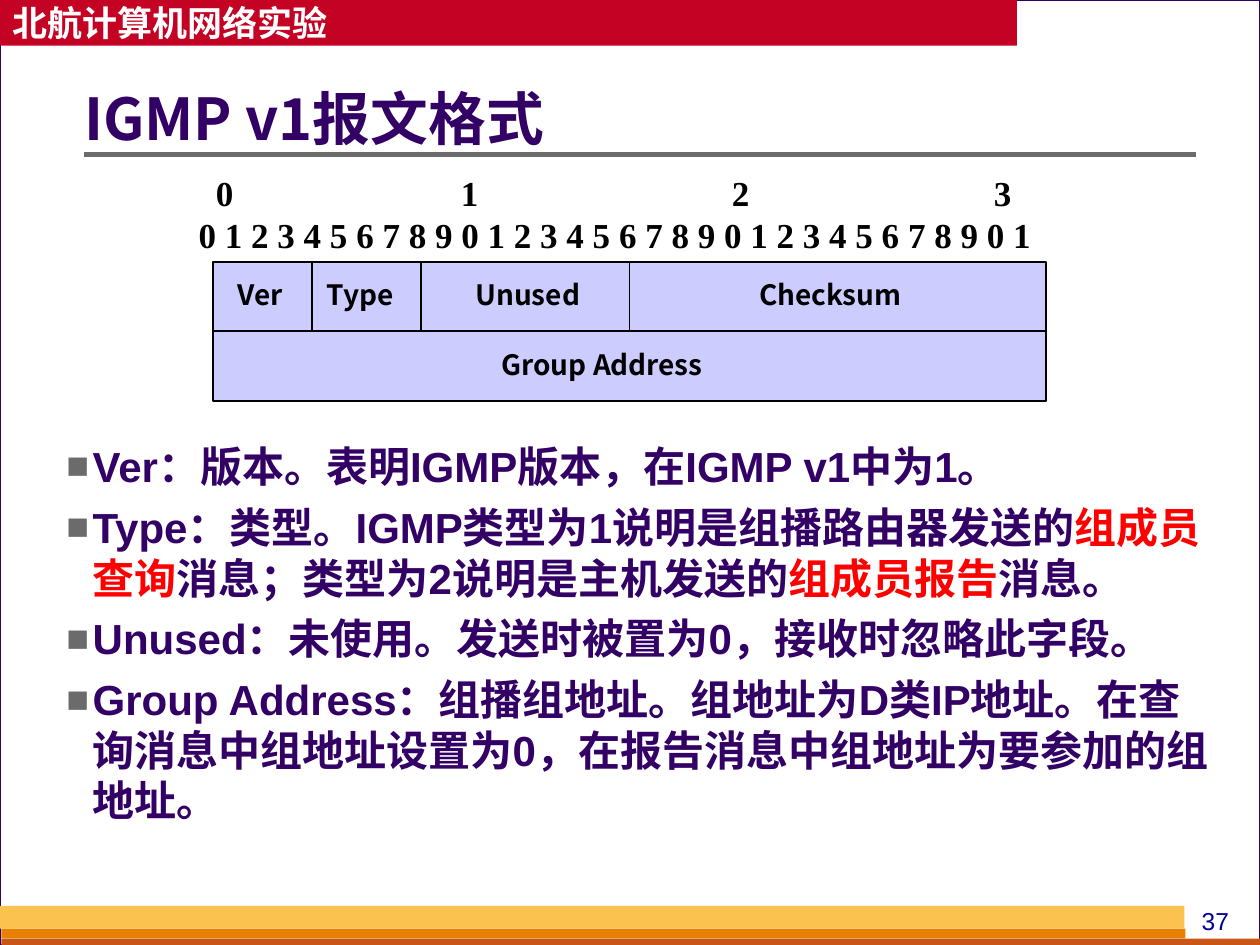
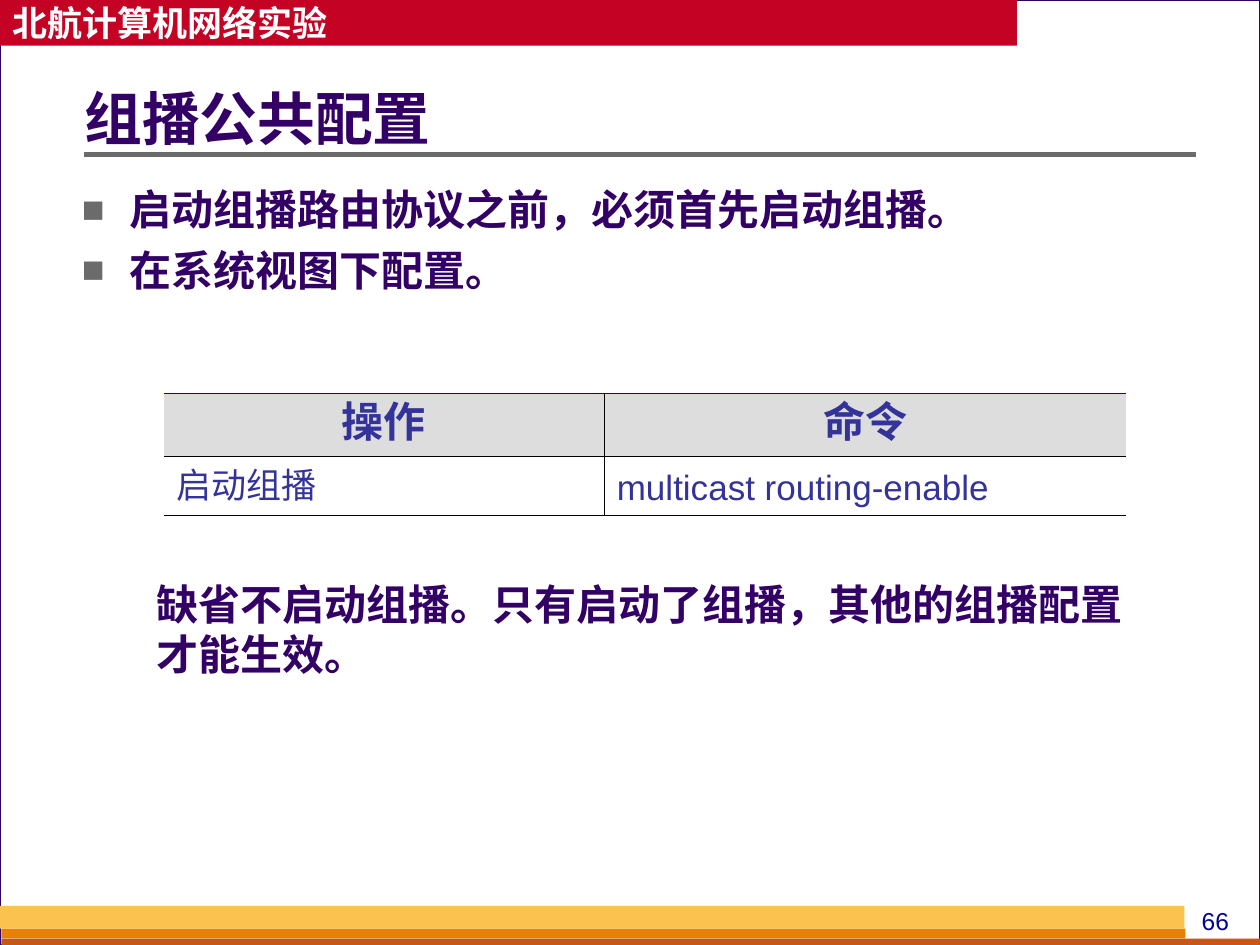
from pptx import Presentation
from pptx import util as u
from pptx.dml.color import RGBColor
from pptx.enum import shapes, text
from pptx.oxml import parse_xml
from pptx.oxml.ns import nsdecls, qn
from lxml import etree

C = {
    "back": "D8DADA", "white": "FFFFFF", "purple": "330066", "red": "C30224",
    "orange": "E88000", "rust": "C95616", "yellow": "FCC24F", "navy": "000099",
    "gray": "6B6B6B", "mark": "FF0000", "lilac": "CCCCFF", "black": "000000",
    "head": "DDDDDD", "blue": "333399",
}
CJK = "Noto Sans CJK SC"


def add_box(s, x, y, w, h, fill=None, line=None, width=1):
    pos = u.Cm(x), u.Cm(y), u.Cm(w), u.Cm(h)
    if fill is None:
        sp = s.shapes.add_textbox(*pos)
        sp.text_frame.word_wrap = True
        return sp
    sp = s.shapes.add_shape(shapes.MSO_SHAPE.RECTANGLE, *pos)
    sp.shadow.inherit = False
    sp.fill.solid()
    sp.fill.fore_color.rgb = RGBColor.from_string(C[fill])
    if line:
        sp.line.color.rgb = RGBColor.from_string(C[line])
        sp.line.width = u.Pt(width)
    else:
        sp.line.fill.background()
    return sp


def add_run(p, words, size, color, font=CJK, bold=True):
    r = p.add_run()
    r.text = words
    r.font.size = u.Pt(size)
    r.font.bold = bold
    r.font.name = font
    r.font.color.rgb = RGBColor.from_string(C[color])
    ea = etree.SubElement(r.font._element, qn("a:ea"))
    ea.set("typeface", CJK)


prs = Presentation()
prs.slide_width, prs.slide_height = u.Cm(25.4), u.Cm(19.05)

pages = [
    {
        "title": "IGMP v1报文格式", "number": "37",
        "body": (1.09, 8.76, 23.6, 9.02), "indent": 0.53,
        "items": [
            [("Ver：版本。表明IGMP版本，在IGMP v1中为1。", "purple")],
            [("Type：类型。IGMP类型为1说明是组播路由器发送的", "purple"),
             ("组成员查询", "mark"),
             ("消息；类型为2说明是主机发送的", "purple"),
             ("组成员报告", "mark"),
             ("消息。", "purple")],
            [("Unused：未使用。发送时被置为0，接收时忽略此字段。", "purple")],
            [("Group Address：组播组地址。组地址为D类IP地址。在查询消息中组地址设置为0，"
              "在报告消息中组地址为要参加的组地址。", "purple")],
        ],
    },
    {
        "title": "组播公共配置", "number": "66",
        "body": (1.4, 3.58, 22.86, 2.51), "indent": 0.97,
        "items": [
            [("启动组播路由协议之前，必须首先启动组播。", "purple")],
            [("在系统视图下配置。", "purple")],
        ],
    },
]

for page in pages:
    s = prs.slides.add_slide(prs.slide_layouts[6])
    s.background.fill.solid()
    s.background.fill.fore_color.rgb = RGBColor.from_string(C["back"])
    add_box(s, 0, 0, 25.4, 19.05, "white", "purple", 0.75)

    sp = add_box(s, 0, 0, 20.5, 0.92, "red")
    tf = sp.text_frame
    tf.word_wrap = False
    tf.vertical_anchor = text.MSO_ANCHOR.MIDDLE
    p = tf.paragraphs[0]
    p.alignment = text.PP_ALIGN.LEFT
    add_run(p, "北航计算机网络实验", 20, "white")

    for x, y, w, h, fill in [(0.03, 18.72, 23.87, 0.2, "orange"),
                             (0.03, 18.92, 25.37, 0.2, "rust"),
                             (0, 18.26, 23.88, 0.46, "yellow")]:
        add_box(s, x, y, w, h, fill)

    p = add_box(s, 23.7, 18.14, 1.6, 0.86).text_frame.paragraphs[0]
    p.alignment = text.PP_ALIGN.CENTER
    add_run(p, page["number"], 14, "navy", "Arial", False)

    cx = s.shapes.add_connector(shapes.MSO_CONNECTOR.STRAIGHT,
                                u.Cm(1.7), u.Cm(3.12), u.Cm(24.1), u.Cm(3.12))
    cx.line.color.rgb = RGBColor.from_string(C["gray"])
    cx.line.width = u.Pt(3)
    etree.SubElement(cx._element.spPr, qn("a:effectLst"))

    tf = add_box(s, 1.7, 1.17, 22.4, 2.57).text_frame
    tf.margin_left = 0
    tf.vertical_anchor = text.MSO_ANCHOR.MIDDLE
    p = tf.paragraphs[0]
    p.line_spacing = 0.9
    add_run(p, page["title"], 33, "purple")

    tf = add_box(s, *page["body"]).text_frame
    for i, item in enumerate(page["items"]):
        p = tf.add_paragraph() if i else tf.paragraphs[0]
        pPr = p._p.get_or_add_pPr()
        pPr.set("marL", str(u.Cm(page["indent"])))
        pPr.set("indent", str(-u.Cm(page["indent"])))
        for xml in ('<a:buClr %s><a:srgbClr val="' + C["gray"] + '"/></a:buClr>',
                    '<a:buSzPct %s val="90000"/>',
                    '<a:buFont %s typeface="Arial"/>',
                    '<a:buChar %s char="■"/>'):
            pPr.append(parse_xml(xml % nsdecls("a")))
        p.line_spacing = u.Pt(28.8)
        if i:
            p.space_before = u.Pt(6)
        for words, color in item:
            add_run(p, words, 24, color, "Arial")

s = prs.slides[0]
tf = add_box(s, 3.3, 3.33, 18.2, 1.95).text_frame
tf.vertical_anchor = text.MSO_ANCHOR.MIDDLE
p = tf.paragraphs[0]
p.line_spacing = u.Pt(24)
tabs = etree.SubElement(p._p.get_or_add_pPr(), qn("a:tabLst"))
for x in (0.98, 5.92, 11.38, 16.66):
    etree.SubElement(tabs, qn("a:tab"), pos=str(u.Cm(x)), algn="ctr")
add_run(p, "\t0\t1\t2\t3", 20, "black", "Times New Roman")
p = tf.add_paragraph()
p.alignment = text.PP_ALIGN.CENTER
p.line_spacing = u.Pt(24)
add_run(p, " ".join(str(bit % 10) for bit in range(32)), 20, "black", "Times New Roman")

left, top, row_h, label_w = 4.29, 5.28, 1.4, 5.4
rows = [
    [("Ver", 2, 5.24), ("Type", 2.2, 7.26), ("Unused", 4.2, 10.64), ("Checksum", 8.4, 16.74)],
    [("Group Address", 16.8, 12.14)],
]
labels = []
for i, row in enumerate(rows):
    x, y = left, top + i * row_h
    for name, w, middle in row:
        add_box(s, x, y, w, row_h, "lilac", "black")
        labels.append((name, middle, y + 0.2))
        x += w
for name, middle, y in labels:
    p = add_box(s, middle - label_w / 2, y, label_w, 0.94).text_frame.paragraphs[0]
    p.alignment = text.PP_ALIGN.CENTER
    add_run(p, name, 16, "black")

s = prs.slides[1]
tf = add_box(s, 2.9, 11.53, 20.02, 2.29).text_frame
tf.vertical_anchor = text.MSO_ANCHOR.MIDDLE
p = tf.paragraphs[0]
p.line_spacing = u.Pt(28.8)
add_run(p, "缺省不启动组播。只有启动了组播，其他的组播配置才能生效。", 24, "purple")

cells = [["操作", "命令"], ["启动组播", "multicast routing-enable"]]
tbl = s.shapes.add_table(2, 2, u.Cm(3.3), u.Cm(7.92), u.Cm(19.4), u.Cm(2.46)).table
tbl.first_row = tbl.horz_banding = False
for i, w in enumerate((8.88, 10.52)):
    tbl.columns[i].width = u.Cm(w)
for i, h in enumerate((1.27, 1.19)):
    tbl.rows[i].height = u.Cm(h)
for i, row in enumerate(cells):
    for j, words in enumerate(row):
        cell = tbl.cell(i, j)
        cell.vertical_anchor = text.MSO_ANCHOR.MIDDLE
        tcPr = cell._tc.get_or_add_tcPr()
        for side, shown in (("L", j == 1), ("R", j == 0), ("T", True), ("B", True)):
            ln = etree.SubElement(tcPr, qn("a:ln" + side), w=str(u.Pt(0.45)))
            if shown:
                color = "purple" if side == "T" and i == 0 else "black"
                fill = etree.SubElement(ln, qn("a:solidFill"))
                etree.SubElement(fill, qn("a:srgbClr"), val=C[color])
            else:
                etree.SubElement(ln, qn("a:noFill"))
        p = cell.text_frame.paragraphs[0]
        if i == 0:
            cell.fill.solid()
            cell.fill.fore_color.rgb = RGBColor.from_string(C["head"])
            p.alignment = text.PP_ALIGN.CENTER
            p.line_spacing = u.Pt(28.8)
            add_run(p, words, 24, "blue", "Arial")
        else:
            cell.fill.background()
            p.line_spacing = u.Pt(26)
            add_run(p, words, 20, "blue", "Arial", False)

prs.save("out.pptx")
